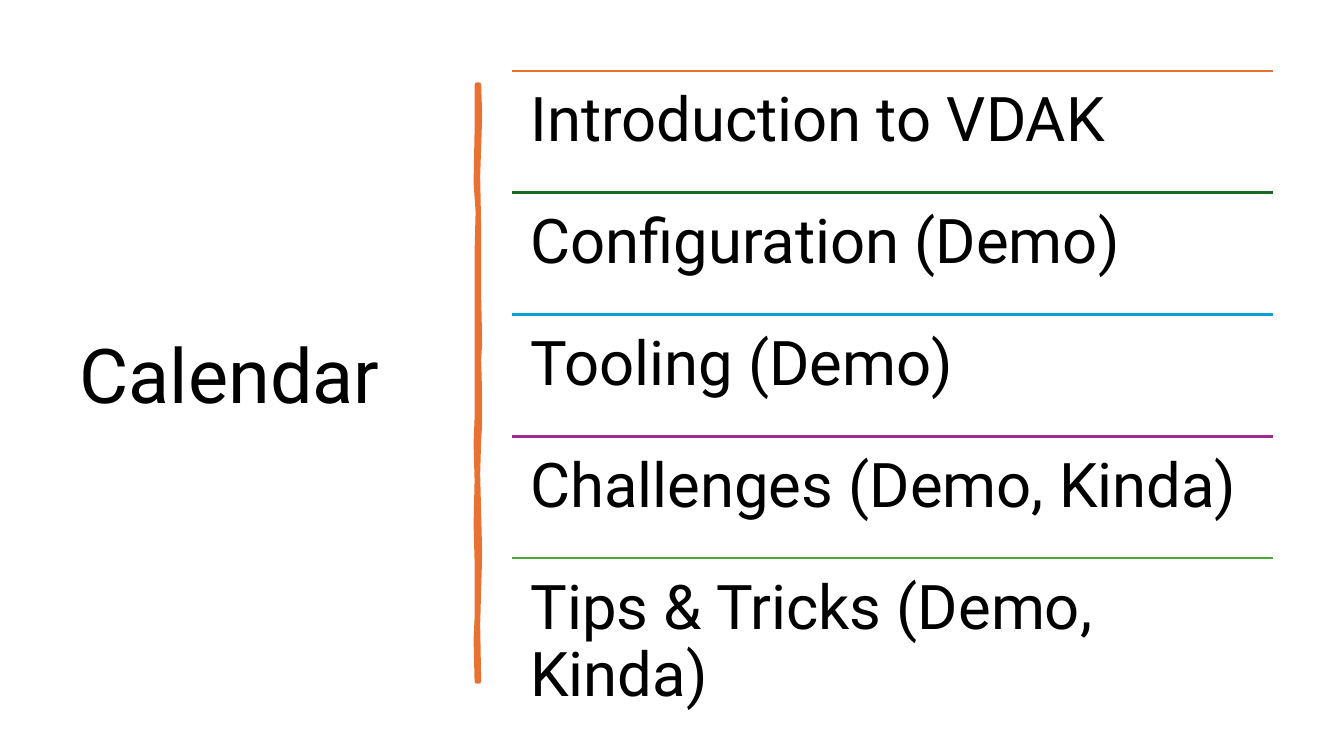
from dataclasses import dataclass

from lxml import etree
from pptx import Presentation
from pptx.dml.color import RGBColor
from pptx.enum.shapes import MSO_CONNECTOR
from pptx.enum.text import MSO_ANCHOR, MSO_AUTO_SIZE, PP_ALIGN
from pptx.oxml.ns import qn
from pptx.util import Inches, Pt

STRAIGHT = MSO_CONNECTOR.STRAIGHT
MIDDLE, TOP = MSO_ANCHOR.MIDDLE, MSO_ANCHOR.TOP
LEFT = PP_ALIGN.LEFT
NO_AUTOFIT = MSO_AUTO_SIZE.NONE
TITLE_ONLY = 5


@dataclass(frozen=True)
class Theme:
    font: str = "Roboto"
    text: str = "000000"
    accent: str = "E97132"
    title_size: float = 54
    topic_size: float = 44
    rule_width: float = 1.5
    brush_width: float = 3.25


THEME = Theme()

# Each topic with the colour of the rule above it
TOPICS = [
    ("Introduction to VDAK", THEME.accent),
    ("Configuration (Demo)", "196B24"),
    ("Tooling (Demo)", "0F9ED5"),
    ("Challenges (Demo, Kinda)", "A02B93"),
    ("Tips & Tricks (Demo, Kinda)", "4EA72E"),
]
LIST_LEFT, LIST_TOP, LIST_WIDTH, ROW_HEIGHT = 5.08, 0.7, 7.55, 1.21

# Brush stroke: down its right edge, then up its left edge
BRUSH_EDGE = [
    (4.75, 0.84), (4.76, 1.15), (4.74, 1.75), (4.75, 2.26), (4.75, 2.94),
    (4.76, 3.4), (4.75, 3.56), (4.76, 3.95), (4.76, 4.2), (4.75, 4.36),
    (4.74, 4.7), (4.75, 5.1), (4.76, 5.5), (4.75, 5.84), (4.74, 6.2),
    (4.75, 6.76), (4.73, 6.76), (4.72, 6.35), (4.73, 6.13), (4.73, 5.57),
    (4.72, 5.2), (4.73, 4.77), (4.72, 4.4), (4.73, 4.15), (4.73, 3.35),
    (4.73, 2.5), (4.74, 2.1), (4.72, 1.81), (4.73, 1.3), (4.73, 0.84),
]


def write_text(shape, text, size, anchor=TOP, inset=0.1, inset_y=0.05):
    frame = shape.text_frame
    frame.word_wrap = True
    frame.auto_size = NO_AUTOFIT
    frame.vertical_anchor = anchor
    frame.margin_left = frame.margin_right = Inches(inset)
    frame.margin_top = frame.margin_bottom = Inches(inset_y)
    paragraph = frame.paragraphs[0]
    paragraph.text = text
    paragraph.alignment = LEFT
    paragraph.line_spacing = 0.9
    font = paragraph.font
    font.name = THEME.font
    font.size = Pt(size)
    font.color.rgb = RGBColor.from_string(THEME.text)


def set_title(slide, text):
    title = slide.shapes.title
    title.left, title.top = Inches(0.69), Inches(0.7)
    title.width, title.height = Inches(3.74), Inches(6.11)
    write_text(title, text, THEME.title_size, anchor=MIDDLE)


def add_brush_stroke(slide):
    points = [(Inches(x), Inches(y)) for x, y in BRUSH_EDGE]
    builder = slide.shapes.build_freeform(*points[0])
    builder.add_line_segments(points[1:], close=True)
    stroke = builder.convert_to_shape()
    stroke.shadow.inherit = False
    color = RGBColor.from_string(THEME.accent)
    stroke.fill.solid()
    stroke.fill.fore_color.rgb = color
    stroke.line.color.rgb = color
    stroke.line.width = Pt(THEME.brush_width)


def add_rule(slide, top, color):
    rule = slide.shapes.add_connector(
        STRAIGHT, Inches(LIST_LEFT), Inches(top),
        Inches(LIST_LEFT + LIST_WIDTH), Inches(top))
    rule.line.color.rgb = RGBColor.from_string(color)
    rule.line.width = Pt(THEME.rule_width)
    etree.SubElement(rule._element.spPr, qn("a:effectLst"))


def add_topic(slide, top, text):
    box = slide.shapes.add_textbox(
        Inches(LIST_LEFT), Inches(top), Inches(LIST_WIDTH), Inches(ROW_HEIGHT))
    write_text(box, text, THEME.topic_size, inset=0.18, inset_y=0.18)


def main():
    presentation = Presentation()
    presentation.slide_width = Inches(13.33)
    presentation.slide_height = Inches(7.5)
    slide = presentation.slides.add_slide(
        presentation.slide_layouts[TITLE_ONLY])

    # Title and divider
    set_title(slide, "Calendar")
    add_brush_stroke(slide)

    # Agenda rows
    for row, (topic, color) in enumerate(TOPICS):
        top = LIST_TOP + row * ROW_HEIGHT
        add_rule(slide, top, color)
        add_topic(slide, top, topic)

    presentation.save("out.pptx")


if __name__ == "__main__":
    main()
